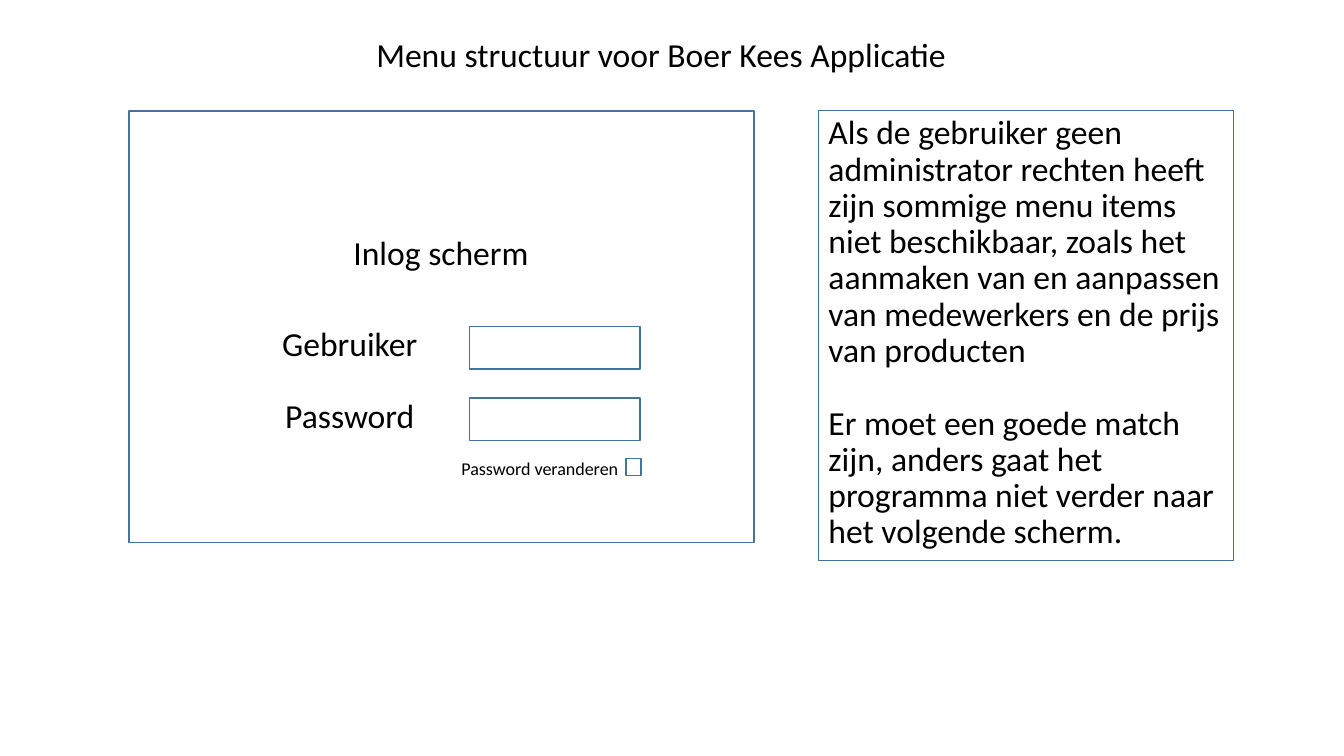
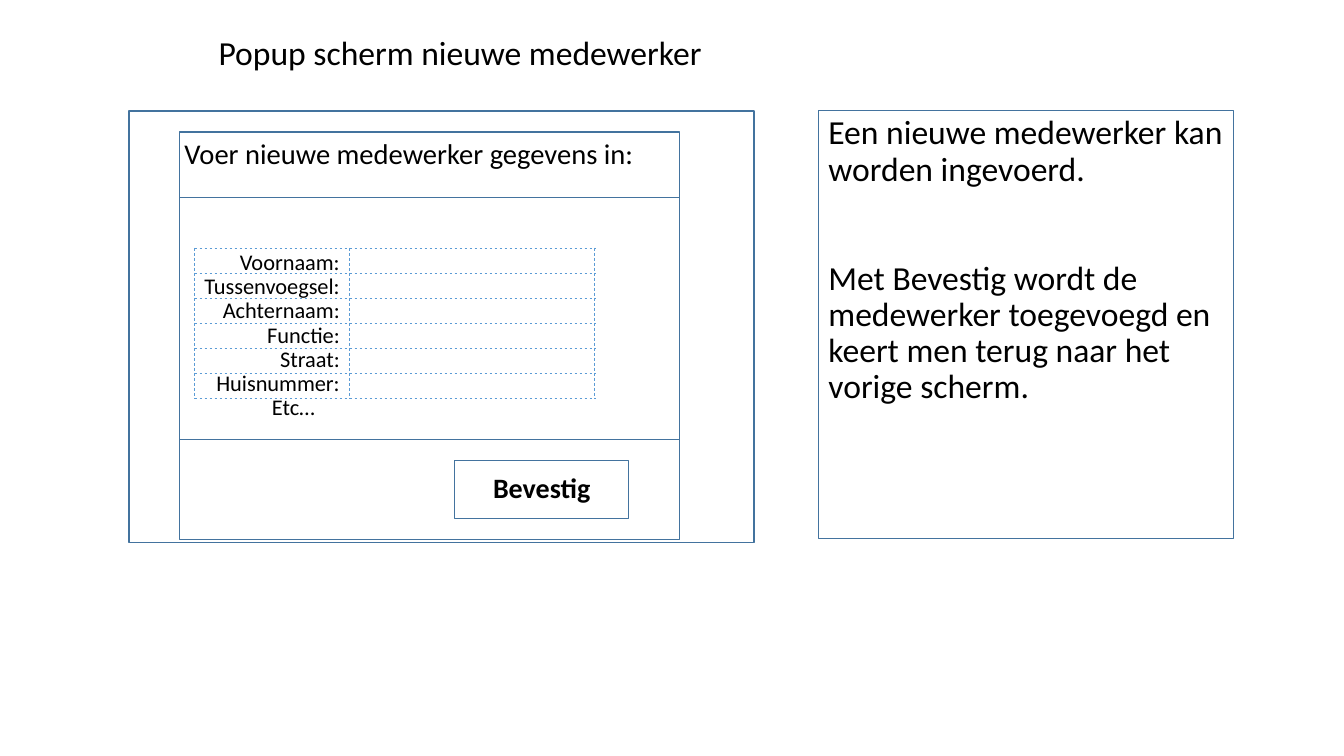
import dataclasses

import lxml.etree
import pptx
import pptx.dml.color
import pptx.enum.dml
import pptx.enum.shapes
import pptx.enum.text
import pptx.oxml.ns
import pptx.util

ALIGN = pptx.enum.text.PP_ALIGN
ANCHOR = pptx.enum.text.MSO_ANCHOR


@dataclasses.dataclass(frozen=True)
class Theme:
    font: str = "Calibri"
    ink: str = "000000"
    outline: str = "43739E"
    guide: str = "5B9BD5"
    body: float = 24
    prompt: float = 20.4
    button: float = 20
    label: float = 16
    small: float = 12.9
    frame_width: float = 1
    note_width: float = 0.75
    guide_width: float = 0.5
    spacing: float = 0.9
    tight: float = 0.8
    blank_line: float = 26


class Deck:
    CELL = 0.1
    COLUMNS, ROWS = 133.33, 75
    WINDOW = (12.8, 11, 62, 42.8)

    def __init__(self, theme):
        self.theme = theme
        self.deck = pptx.Presentation()
        self.deck.slide_width = self.cells(self.COLUMNS)
        self.deck.slide_height = self.cells(self.ROWS)
        self.slide = None

    def cells(self, count):
        return pptx.util.Inches(count * self.CELL)

    def color(self, value):
        return pptx.dml.color.RGBColor.from_string(value)

    def new_screen(self):
        self.slide = self.deck.slides.add_slide(self.deck.slide_layouts[6])
        self.frame(*self.WINDOW)

    def fill_text(self, frame, lines, size, align, anchor, spacing=None, gap=0,
                  bold=False):
        frame.word_wrap = True
        frame.vertical_anchor = anchor
        frame.text = "\n".join(lines)
        for index, paragraph in enumerate(frame.paragraphs):
            paragraph.alignment = align
            paragraph.line_spacing = spacing or self.theme.spacing
            paragraph.space_before = pptx.util.Pt(gap if index else 0)
            for run in paragraph.runs:
                run.font.name = self.theme.font
                run.font.size = pptx.util.Pt(size)
                run.font.bold = bold
                run.font.color.rgb = self.color(self.theme.ink)

    def text(self, left, top, width, height, *lines, size=None, align=ALIGN.CENTER,
             anchor=ANCHOR.BOTTOM, spacing=None):
        box = self.slide.shapes.add_textbox(*map(self.cells, (left, top, width, height)))
        self.fill_text(box.text_frame, lines, size or self.theme.body, align, anchor,
                       spacing)

    def frame(self, left, top, width, height, line_width=None):
        box = self.slide.shapes.add_shape(
            pptx.enum.shapes.MSO_SHAPE.RECTANGLE,
            *map(self.cells, (left, top, width, height)))
        box.shadow.inherit = False
        box.fill.background()
        box.line.color.rgb = self.color(self.theme.outline)
        box.line.width = pptx.util.Pt(line_width or self.theme.frame_width)
        return box

    def note(self, height, *lines, blank_lines=1):
        box = self.frame(81.2, self.WINDOW[1], 41.2, height, self.theme.note_width)
        self.fill_text(box.text_frame, lines, self.theme.body, ALIGN.LEFT, ANCHOR.TOP,
                       gap=blank_lines * self.theme.blank_line)

    def button(self, left, top, width, height, caption):
        box = self.frame(left, top, width, height, self.theme.note_width)
        self.fill_text(box.text_frame, [caption], self.theme.button, ALIGN.CENTER,
                       ANCHOR.MIDDLE, bold=True)

    def guide(self, *ends):
        line = self.slide.shapes.add_connector(
            pptx.enum.shapes.MSO_CONNECTOR.STRAIGHT, *map(self.cells, ends))
        line.line.color.rgb = self.color(self.theme.guide)
        line.line.width = pptx.util.Pt(self.theme.guide_width)
        line.line.dash_style = pptx.enum.dml.MSO_LINE.DASH
        properties = line._element.spPr
        lxml.etree.SubElement(properties, pptx.oxml.ns.qn("a:effectLst"))

    def guide_grid(self, columns, top, bottom, row_count):
        for column in columns:
            self.guide(column, top, column, bottom)
        pitch = (bottom - top) / row_count
        for index in range(row_count + 1):
            row = top + index * pitch
            self.guide(columns[0], row, columns[-1], row)


def login_screen(deck):
    deck.new_screen()
    deck.text(15.6, 1.6, 100, 6.3, "Menu structuur voor Boer Kees Applicatie")
    deck.text(16.9, 23, 53.7, 5.8, "Inlog scherm", anchor=ANCHOR.TOP)
    for index, field in enumerate(("Gebruiker", "Password")):
        top = 31.5 + index * 7.1
        deck.text(23.8, top, 21.8, 5.1, field)
        deck.frame(46.6, top + 0.9, 16.9, 4.2)
    deck.text(43.5, 45.2, 20.1, 2.8, "Password veranderen",
              size=deck.theme.small, spacing=deck.theme.tight)
    deck.frame(62.1, 45.5, 1.5, 1.7)
    deck.note(
        44.6,
        "Als de gebruiker geen administrator rechten heeft zijn sommige menu items "
        "niet beschikbaar, zoals het aanmaken van en aanpassen van medewerkers en "
        "de prijs van producten",
        "Er moet een goede match zijn, anders gaat het programma niet verder naar "
        "het volgende scherm.")


def employee_screen(deck):
    deck.new_screen()
    deck.text(18.8, 3.1, 53.7, 5.8, "Popup scherm nieuwe medewerker", anchor=ANCHOR.TOP)
    deck.frame(17.8, 13.1, 49.6, 40.4)
    deck.frame(17.8, 19.6, 49.6, 24)
    deck.text(16, 13.7, 47.8, 5.7, "Voer nieuwe medewerker gegevens in:",
              size=deck.theme.prompt, align=ALIGN.RIGHT, anchor=ANCHOR.TOP,
              spacing=deck.theme.tight)
    fields = ("Voornaam:", "Tussenvoegsel:", "Achternaam:", "Functie:", "Straat:",
              "Huisnummer:")
    deck.guide_grid((19.3, 34.7, 59), 24.6, 39.5, len(fields))
    deck.text(18, 22.6, 16.7, 17.2, *fields, size=deck.theme.label, align=ALIGN.RIGHT)
    deck.text(18, 38.8, 14.2, 3.4, "Etc…", size=deck.theme.label, align=ALIGN.RIGHT)
    deck.button(45.1, 45.7, 17.3, 5.7, "Bevestig")
    deck.note(
        42.4,
        "Een nieuwe medewerker kan worden ingevoerd.",
        "Met Bevestig wordt de medewerker toegevoegd en keert men terug naar het "
        "vorige scherm.",
        blank_lines=2)


def main():
    deck = Deck(Theme())
    login_screen(deck)
    employee_screen(deck)
    deck.deck.save("out.pptx")


if __name__ == "__main__":
    main()
